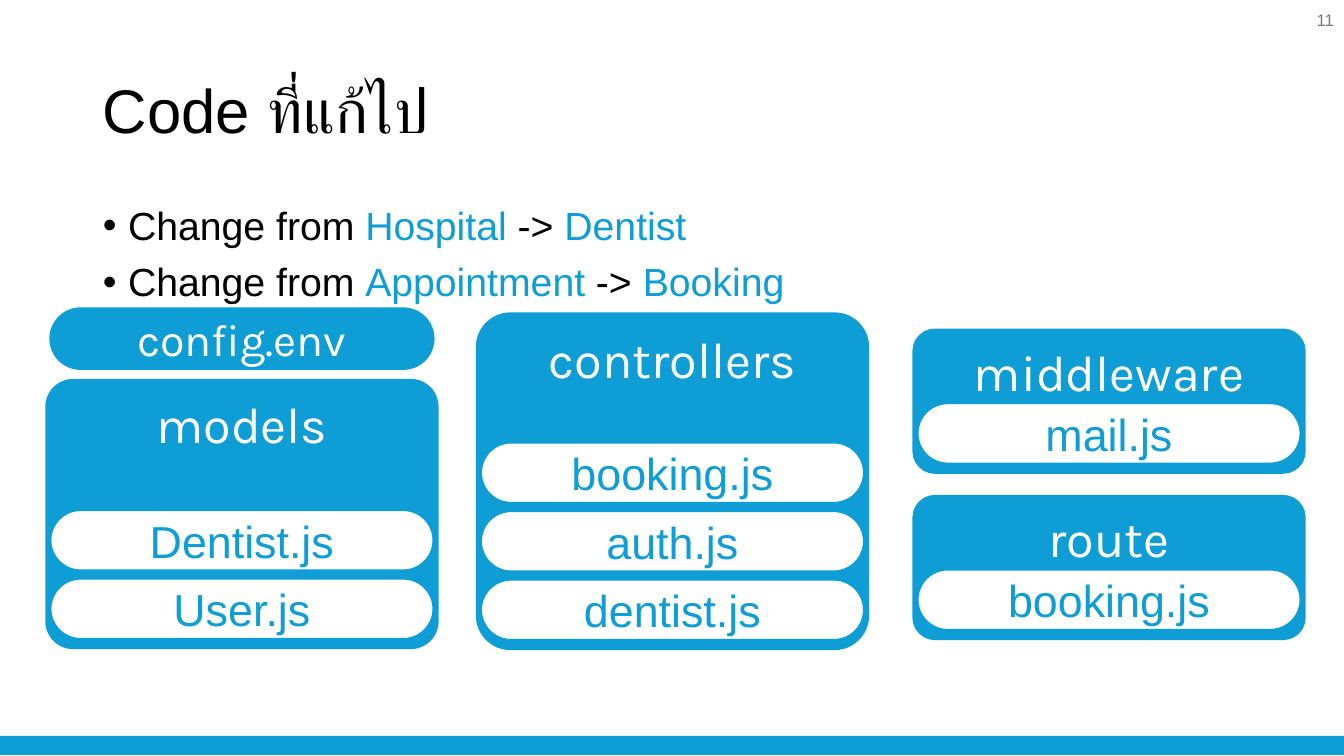
from dataclasses import dataclass

from lxml import etree
from pptx import Presentation
from pptx.dml.color import RGBColor
from pptx.enum.shapes import MSO_SHAPE
from pptx.enum.text import MSO_ANCHOR, MSO_AUTO_SIZE, PP_ALIGN
from pptx.oxml.ns import qn
from pptx.shapes.autoshape import Shape
from pptx.shapes.shapetree import GroupShapes
from pptx.text.text import TextFrame, _Paragraph
from pptx.util import Inches, Pt

ROUNDED = MSO_SHAPE.ROUNDED_RECTANGLE
RECTANGLE = MSO_SHAPE.RECTANGLE
TOP, MIDDLE = MSO_ANCHOR.TOP, MSO_ANCHOR.MIDDLE
LEFT, CENTER, RIGHT = PP_ALIGN.LEFT, PP_ALIGN.CENTER, PP_ALIGN.RIGHT
NO_AUTOFIT = MSO_AUTO_SIZE.NONE


@dataclass(frozen=True)
class Theme:
    blue: RGBColor = RGBColor(0x0E, 0x9E, 0xD5)
    white: RGBColor = RGBColor(0xFF, 0xFF, 0xFF)
    black: RGBColor = RGBColor(0, 0, 0)
    grey: RGBColor = RGBColor(0x79, 0x79, 0x79)
    text_font: str = "Arial"
    folder_font: str = "Karla"
    title_size: int = 44
    folder_size: int = 36
    file_size: int = 32
    body_size: int = 28
    number_size: int = 12
    outline: float = 1.5


@dataclass(frozen=True)
class Box:
    left: float
    top: float
    width: float
    height: float

    def lengths(self) -> tuple[int, int, int, int]:
        return (Inches(self.left), Inches(self.top),
                Inches(self.width), Inches(self.height))


@dataclass(frozen=True)
class Style:
    size: int
    color: RGBColor
    font: str


@dataclass(frozen=True)
class Folder:
    name: str
    box: Box
    corner: float
    first_file_top: float
    files: tuple[str, ...]


@dataclass(frozen=True)
class Rename:
    before: str
    after: str


THEME = Theme()
FOLDER_WIDTH = 3.88
FILE_WIDTH, FILE_HEIGHT, FILE_STEP = 3.8, 0.6, 0.68
FILE_INSET = (FOLDER_WIDTH - FILE_WIDTH) / 2

FOLDER_STYLE = Style(THEME.folder_size, THEME.white, THEME.folder_font)
FILE_STYLE = Style(THEME.file_size, THEME.blue, THEME.text_font)
CONFIG_STYLE = Style(THEME.file_size, THEME.white, THEME.folder_font)

RENAMES = (Rename("Hospital", "Dentist"), Rename("Appointment", "Booking"))
FOLDERS = (
    Folder("models", Box(0.46, 3.77, FOLDER_WIDTH, 2.66), 0.1, 5.06,
           ("Dentist.js", "User.js")),
    Folder("controllers", Box(4.73, 3.11, FOLDER_WIDTH, 3.33), 0.1, 4.39,
           ("booking.js", "auth.js", "dentist.js")),
    Folder("middleware", Box(9.06, 3.27, FOLDER_WIDTH, 1.42), 0.15, 4.0,
           ("mail.js",)),
    Folder("route", Box(9.06, 4.92, FOLDER_WIDTH, 1.42), 0.15, 5.65,
           ("booking.js",)),
)


def add_run(paragraph: _Paragraph, text: str, style: Style) -> None:
    run = paragraph.add_run()
    run.text = text
    run.font.size = Pt(style.size)
    run.font.name = style.font
    run.font.color.rgb = style.color


def prepare_frame(frame: TextFrame, anchor: MSO_ANCHOR) -> None:
    frame.word_wrap = True
    frame.auto_size = NO_AUTOFIT
    frame.vertical_anchor = anchor


def place(shape: Shape, box: Box) -> None:
    shape.left, shape.top, shape.width, shape.height = box.lengths()


def add_label(shapes: GroupShapes, text: str, box: Box, fill: RGBColor,
              style: Style, corner: float, anchor: MSO_ANCHOR) -> None:
    """Add a rounded, blue-outlined shape with one centred line of text."""
    label = shapes.add_shape(ROUNDED, *box.lengths())
    label.adjustments[0] = corner
    label.shadow.inherit = False
    label.fill.solid()
    label.fill.fore_color.rgb = fill
    label.line.color.rgb = THEME.blue
    label.line.width = Pt(THEME.outline)
    prepare_frame(label.text_frame, anchor)
    paragraph = label.text_frame.paragraphs[0]
    paragraph.alignment = CENTER
    add_run(paragraph, text, style)


def add_folder(shapes: GroupShapes, folder: Folder) -> None:
    """Group a folder panel with its evenly stacked file pills."""
    members = shapes.add_group_shape().shapes
    add_label(members, folder.name, folder.box, THEME.blue, FOLDER_STYLE,
              folder.corner, TOP)
    for index, file_name in enumerate(folder.files):
        pill = Box(folder.box.left + FILE_INSET,
                   folder.first_file_top + index * FILE_STEP,
                   FILE_WIDTH, FILE_HEIGHT)
        add_label(members, file_name, pill, THEME.white, FILE_STYLE, 0.5, MIDDLE)


def add_bullet(paragraph: _Paragraph) -> None:
    properties = paragraph._p.get_or_add_pPr()
    properties.set("marL", str(Inches(0.25)))
    properties.set("indent", str(Inches(-0.25)))
    etree.SubElement(properties, qn("a:buFont")).set("typeface", THEME.text_font)
    etree.SubElement(properties, qn("a:buChar")).set("char", "•")


def fill_title(title: Shape) -> None:
    place(title, Box(0.92, 0.4, 11.5, 1.45))
    prepare_frame(title.text_frame, MIDDLE)
    paragraph = title.text_frame.paragraphs[0]
    paragraph.alignment = LEFT
    paragraph.line_spacing = 0.9
    add_run(paragraph, "Code ที่แก้ไป",
            Style(THEME.title_size, THEME.black, THEME.text_font))


def fill_renames(body: Shape) -> None:
    place(body, Box(0.92, 2, 11.5, 4.76))
    frame = body.text_frame
    prepare_frame(frame, TOP)
    plain = Style(THEME.body_size, THEME.black, THEME.text_font)
    accent = Style(THEME.body_size, THEME.blue, THEME.text_font)
    for index, rename in enumerate(RENAMES):
        paragraph = frame.add_paragraph() if index else frame.paragraphs[0]
        add_bullet(paragraph)
        paragraph.line_spacing = 0.9
        paragraph.space_before = Pt(10 if index else 0)
        add_run(paragraph, "Change from ", plain)
        add_run(paragraph, rename.before, accent)
        add_run(paragraph, " -> ", plain)
        add_run(paragraph, rename.after, accent)


def add_footer_bar(shapes: GroupShapes) -> None:
    bar = shapes.add_shape(RECTANGLE, *Box(0, 7.3, 13.33, 0.19).lengths())
    bar.shadow.inherit = False
    bar.fill.solid()
    bar.fill.fore_color.rgb = THEME.blue
    bar.line.fill.background()


def add_page_number(shapes: GroupShapes) -> None:
    number = shapes.add_textbox(*Box(10.33, 0, 3, 0.4).lengths())
    prepare_frame(number.text_frame, MIDDLE)
    paragraph = number.text_frame.paragraphs[0]
    paragraph.alignment = RIGHT
    add_run(paragraph, "11", Style(THEME.number_size, THEME.grey, THEME.text_font))


def main() -> None:
    deck = Presentation()
    deck.slide_width, deck.slide_height = Inches(13.33), Inches(7.5)
    slide = deck.slides.add_slide(deck.slide_layouts[1])
    fill_title(slide.shapes.title)
    fill_renames(slide.placeholders[1])
    add_footer_bar(slide.shapes)
    add_page_number(slide.shapes)
    for folder in FOLDERS:
        add_folder(slide.shapes, folder)
    add_label(slide.shapes, "config.env", Box(0.5, 3.06, FILE_WIDTH, FILE_HEIGHT),
              THEME.blue, CONFIG_STYLE, 0.5, MIDDLE)
    deck.save("out.pptx")


if __name__ == "__main__":
    main()
